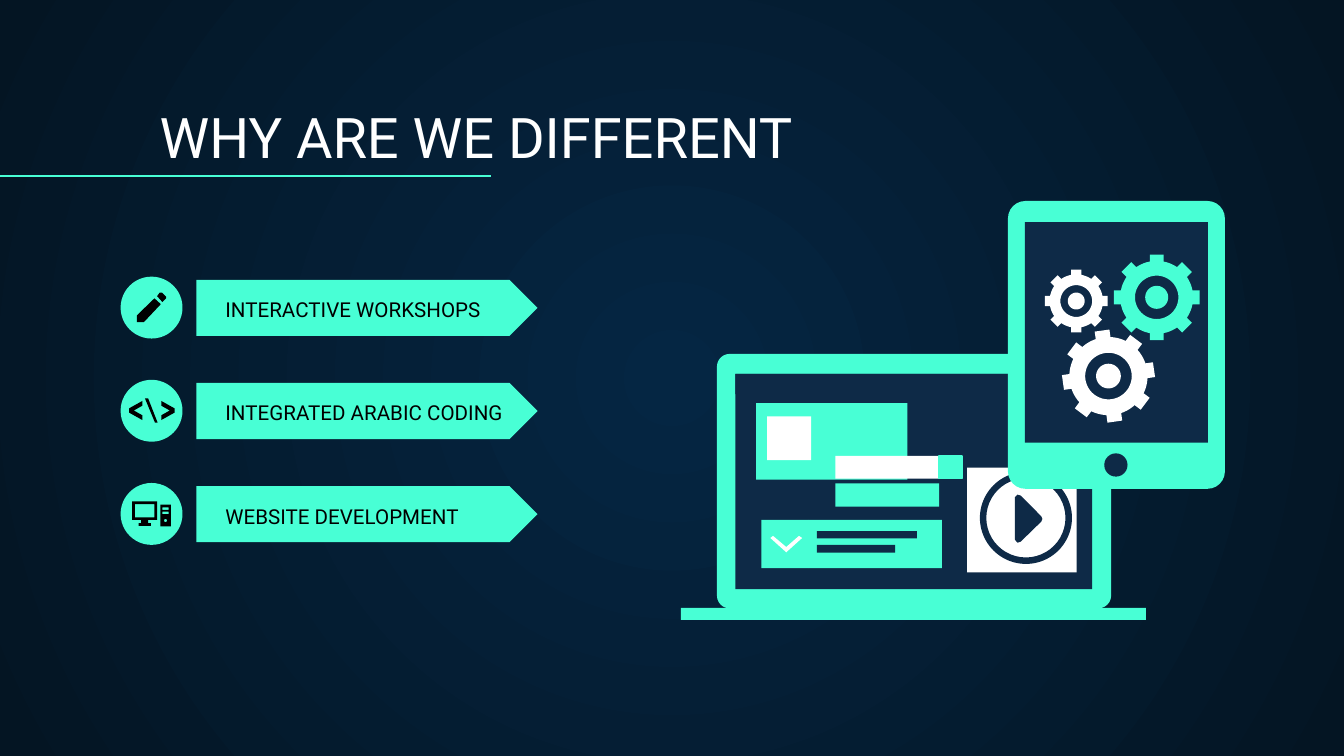
"""Build the "Why are we different" slide with its three points and devices."""
from dataclasses import dataclass
from math import asin, cos, pi, radians, sin

from lxml.etree import SubElement
from pptx import Presentation
from pptx.dml.color import RGBColor
from pptx.enum.shapes import MSO_CONNECTOR, MSO_SHAPE as Preset
from pptx.enum.text import MSO_ANCHOR
from pptx.oxml.ns import qn
from pptx.util import Cm, Pt


@dataclass(frozen=True)
class Theme:
    mint: str = "48FFD5"
    navy: str = "0E2A47"
    white: str = "FFFFFF"
    black: str = "000000"
    glow: str = "052643"
    edge: str = "041523"
    font: str = "Roboto"
    title_size: int = 30
    label_size: int = 11
    line_width: float = 0.75


class SlideBuilder:
    def __init__(self, slide, theme):
        self.slide = slide
        self.shapes = slide.shapes
        self.theme = theme

    def background(self):
        fill = self.slide.background.fill
        fill.gradient()
        for stop, color in zip(fill.gradient_stops, (self.theme.glow, self.theme.edge)):
            stop.color.rgb = RGBColor.from_string(color)
        gradient = self.slide.element.find(".//" + qn("a:gradFill"))
        gradient.remove(gradient.find(qn("a:lin")))
        circle = SubElement(gradient, qn("a:path"), {"path": "circle"})
        SubElement(circle, qn("a:fillToRect"), dict.fromkeys("ltrb", "50000"))

    def paint(self, shape, color, outlined=False):
        shape.shadow.inherit = False
        shape.fill.solid()
        shape.fill.fore_color.rgb = RGBColor.from_string(color)
        if outlined:
            shape.line.color.rgb = RGBColor.from_string(color)
            shape.line.width = Pt(self.theme.line_width)
        else:
            shape.line.fill.background()

    def preset(self, kind, left, top, width, height, color, adjustment=None, outlined=False):
        shape = self.shapes.add_shape(kind, Cm(left), Cm(top), Cm(width), Cm(height))
        if adjustment is not None:
            shape.adjustments[0] = adjustment
        self.paint(shape, color, outlined)

    def outline(self, contours, color, x=0, y=0):
        placed = [[(Cm(x + dx), Cm(y + dy)) for dx, dy in contour] for contour in contours]
        builder = self.shapes.build_freeform(*placed[0][0])
        for contour in placed:
            builder.move_to(*contour[0])
            builder.add_line_segments(contour[1:], close=True)
        self.paint(builder.convert_to_shape(), color)

    def gear(self, x, y, radius, color, turn=0):
        contours = [gear_rim(radius, radians(turn)), circle_points(0.5 * radius),
                    circle_points(0.265 * radius)]
        self.outline(contours, color, x, y)

    def text(self, words, left, top, width, height, size, color):
        box = self.shapes.add_textbox(Cm(left), Cm(top), Cm(width), Cm(height))
        frame = box.text_frame
        frame.word_wrap = True
        frame.vertical_anchor = MSO_ANCHOR.BOTTOM
        frame.margin_left = frame.margin_right = Cm(0.25)
        frame.margin_top = frame.margin_bottom = Cm(0.25)
        frame.text = words
        font = frame.paragraphs[0].runs[0].font
        font.name, font.size = self.theme.font, Pt(size)
        font.color.rgb = RGBColor.from_string(color)

    def line(self, x1, y1, x2, y2):
        rule = self.shapes.add_connector(MSO_CONNECTOR.STRAIGHT, Cm(x1), Cm(y1), Cm(x2), Cm(y2))
        rule.line.color.rgb = RGBColor.from_string(self.theme.mint)
        rule.line.width = Pt(self.theme.line_width)
        SubElement(rule.element.spPr, qn("a:effectLst"))


def circle_points(radius, x=0, y=0, count=48):
    angles = [2 * pi * step / count for step in range(count)]
    return [(x + radius * cos(angle), y + radius * sin(angle)) for angle in angles]


def box_points(left, top, right, bottom):
    return [(left, top), (right, top), (right, bottom), (left, bottom)]


def gear_rim(radius, turn, teeth=8):
    body, half = 0.84 * radius, 0.16 * radius
    pitch = 2 * pi / teeth
    tip, root = asin(half / radius), asin(half / body)
    points = []
    for tooth in range(teeth):
        middle = turn + tooth * pitch
        polar = [(body, -root), (radius, -tip), (radius, tip), (body, root)]
        polar += [(body, root + (pitch - 2 * root) * step / 5) for step in range(1, 5)]
        points += [(r * sin(middle + a), -r * cos(middle + a)) for r, a in polar]
    return points


PENCIL = [
    [(0.15, -0.28), (0.1, -0.21), (0.2, -0.1), (0.27, -0.17), (0.27, -0.2), (0.19, -0.28)],
    [(0.05, -0.17), (-0.28, 0.15), (-0.28, 0.28), (-0.15, 0.28), (0.17, -0.06)],
]
BRACKET = [(-0.18, 0.18), (-0.43, 0.04), (-0.43, -0.04), (-0.18, -0.18),
           (-0.18, -0.09), (-0.34, 0), (-0.18, 0.09)]
CODE = [
    BRACKET,
    [(0.06, 0.23), (-0.13, -0.23), (-0.07, -0.23), (0.11, 0.23)],
    [(-x, y) for x, y in BRACKET],
]
COMPUTER = [
    box_points(-0.37, -0.23, 0.1, 0.12),
    box_points(-0.32, -0.18, 0.05, 0.07),
    box_points(-0.2, 0.12, -0.07, 0.18),
    box_points(-0.25, 0.18, -0.02, 0.23),
    box_points(0.16, -0.17, 0.36, 0.24),
    box_points(0.2, -0.12, 0.32, -0.07),
    box_points(0.2, -0.04, 0.32, 0.01),
    circle_points(0.03, 0.26, 0.13, 12),
]
PLAY = [(19.18, 9.4), (19.23, 9.35), (19.29, 9.37), (19.68, 9.76), (19.7, 9.81),
        (19.68, 9.86), (19.29, 10.24), (19.23, 10.26), (19.18, 10.2)]
CHEVRON = [(14.56, 10.17), (14.61, 10.13), (14.86, 10.34), (15.1, 10.13),
           (15.16, 10.17), (14.86, 10.44)]
POINTS = [("INTERACTIVE WORKSHOPS", PENCIL), ("INTEGRATED ARABIC CODING", CODE),
          ("WEBSITE DEVELOPMENT", COMPUTER)]


def draw_points(page, theme):
    for row, (label, icon) in enumerate(POINTS):
        shift = 1.95 * row
        page.preset(Preset.PENTAGON, 3.71, 5.29 + shift, 6.45, 1.06, theme.mint)
        page.text(label, 4.01, 5.79 + shift, 6.38, 0.53, theme.label_size, theme.black)
        page.preset(Preset.OVAL, 2.28, 5.23 + shift, 1.17, 1.17, theme.mint)
        page.outline(icon, theme.black, 2.87, 5.81 + shift)


def draw_laptop(page, theme):
    page.preset(Preset.ROUNDED_RECTANGLE, 13.55, 6.69, 7.45, 4.81, theme.mint, 0.05)
    for left, top, width, height, color in [
        (13.9, 7.07, 6.74, 4.07, theme.navy),
        (12.87, 11.49, 8.79, 0.23, theme.mint),
        (13.9, 7.07, 6.74, 0.38, theme.navy),
        (14.29, 7.62, 2.86, 1.45, theme.mint),
        (14.5, 7.87, 0.83, 0.83, theme.white),
        (15.29, 9.83, 2.51, 0.91, theme.mint),
        (15.44, 10.04, 1.89, 0.14, theme.navy),
        (15.44, 10.3, 1.48, 0.15, theme.navy),
        (14.39, 9.83, 0.9, 0.91, theme.mint),
        (15.79, 9.14, 1.96, 0.44, theme.mint),
        (15.79, 8.62, 1.96, 0.43, theme.white),
        (18.28, 8.84, 2.07, 1.98, theme.white),
    ]:
        page.preset(Preset.RECTANGLE, left, top, width, height, color)
    page.preset(Preset.RECTANGLE, 17.75, 8.62, 0.43, 0.43, theme.mint, outlined=True)
    page.outline([CHEVRON], theme.white)
    page.preset(Preset.DONUT, 18.52, 8.92, 1.74, 1.74, theme.navy, 0.07)
    page.outline([PLAY], theme.navy)


def draw_tablet(page, theme):
    page.preset(Preset.ROUNDED_RECTANGLE, 19.05, 3.8, 4.1, 5.44, theme.mint, 0.08)
    page.preset(Preset.RECTANGLE, 19.37, 4.2, 3.46, 4.17, theme.navy)
    page.preset(Preset.OVAL, 20.87, 8.57, 0.44, 0.44, theme.navy)
    page.gear(21.86, 5.62, 0.82, theme.mint)
    page.gear(20.34, 5.69, 0.6, theme.white)
    page.gear(20.95, 7.11, 0.88, theme.white, turn=-8)


def main():
    theme = Theme()
    deck = Presentation()
    deck.slide_width, deck.slide_height = Cm(25.4), Cm(14.29)
    page = SlideBuilder(deck.slides.add_slide(deck.slide_layouts[6]), theme)
    page.background()
    page.text("WHY ARE WE DIFFERENT", 2.77, 1.78, 21.77, 1.68, theme.title_size, theme.white)
    page.line(0, 3.33, 9.27, 3.33)
    draw_points(page, theme)
    draw_laptop(page, theme)
    draw_tablet(page, theme)
    deck.save("out.pptx")


if __name__ == "__main__":
    main()
